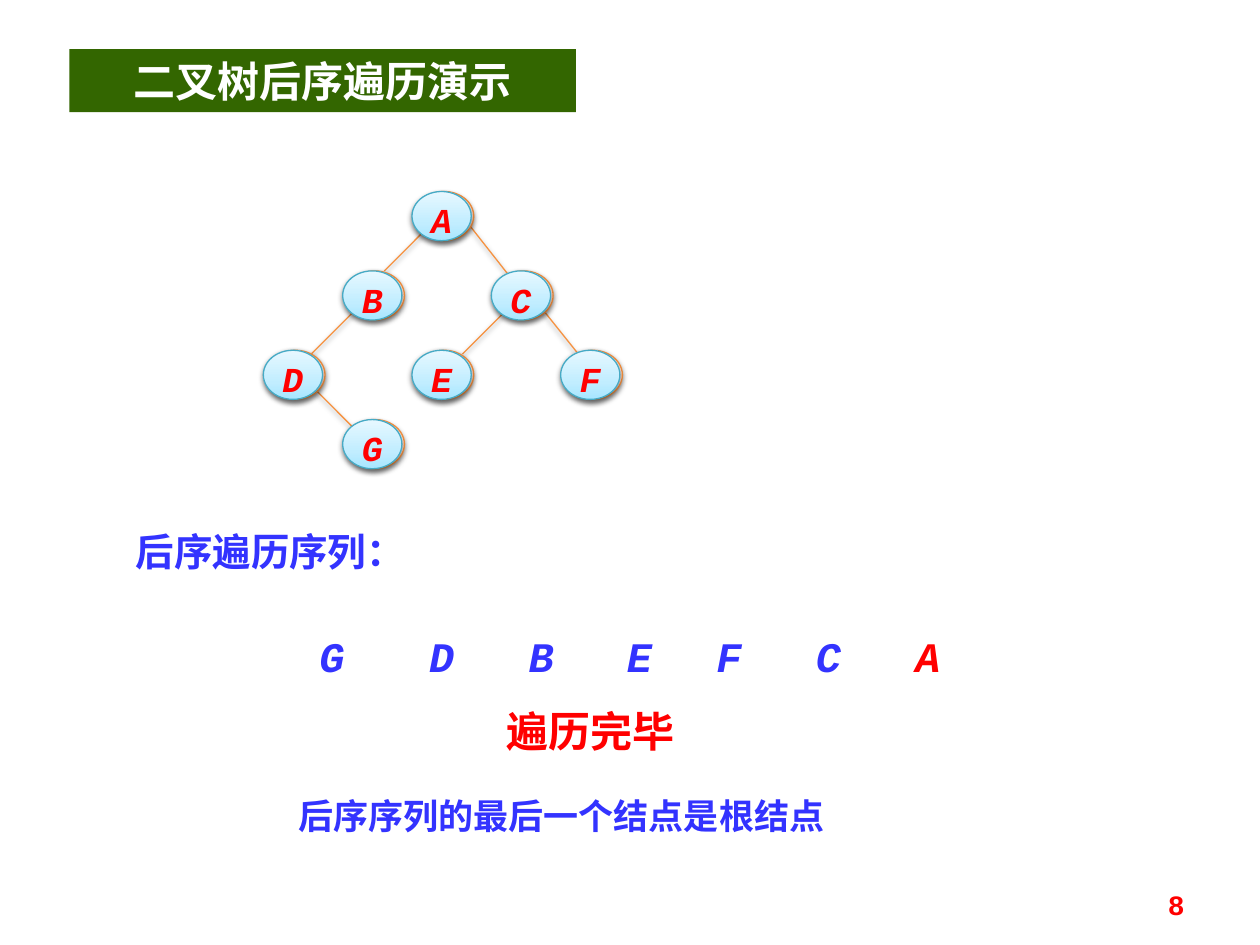
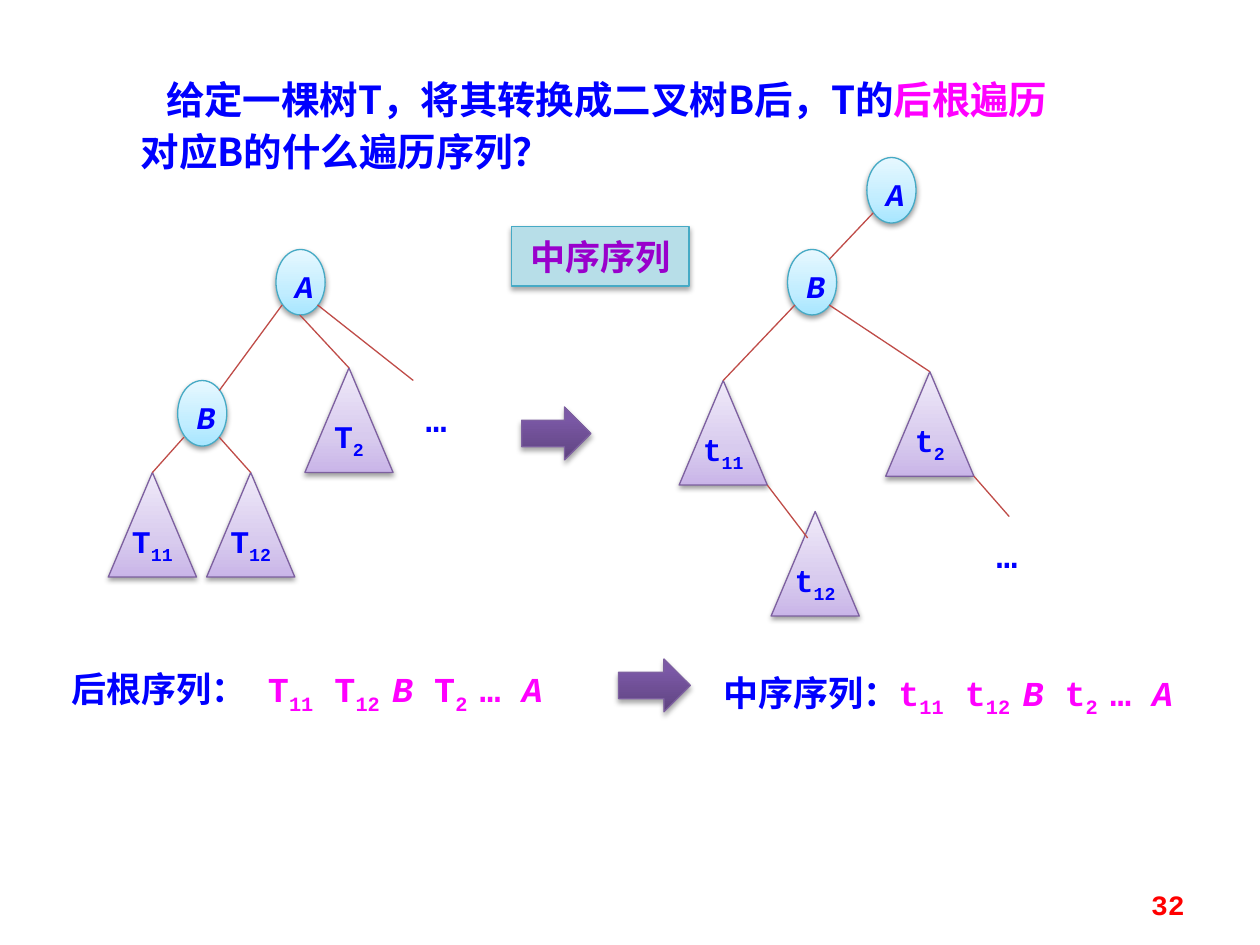
from dataclasses import dataclass, replace
from typing import Optional

from lxml.etree import SubElement
from pptx import Presentation
from pptx.dml.color import RGBColor
from pptx.enum.shapes import MSO_CONNECTOR as Connector, MSO_SHAPE as Preset
from pptx.enum.text import MSO_ANCHOR as Anchor, PP_ALIGN as Align
from pptx.oxml.ns import qn
from pptx.util import Inches, Pt

COLORS = {
    "white": "FFFFFF", "green": "336600", "red": "FF0000", "indigo": "3333FF",
    "blue": "0000FF", "magenta": "FF00FF", "violet": "9900CC", "black": "000000",
    "orange": "F69240", "teal": "46AAC5", "purple": "7D60A0", "brick": "BF4C48",
    "pale teal": "B7DEE8",
}
MONO, SANS = "Courier New", "Noto Sans CJK SC"
Box = tuple[float, float, float, float]
Segment = tuple[float, float, float, float]


@dataclass(frozen=True)
class Style:
    """Fill stops run from bottom to top."""
    stops: tuple[tuple[int, str], ...]
    line: str
    shadow: tuple[int, float] = (38, 1.6)


@dataclass(frozen=True)
class Run:
    text: str
    color: Optional[str] = None
    font: Optional[str] = None
    italic: Optional[bool] = None
    subscript: bool = False


@dataclass(frozen=True)
class Item:
    label: str
    left: float
    top: float
    index: str = ""


ORANGE = Style(((0, "FFD2BD"), (35, "FFDED0"), (100, "FFF2ED")), "orange")
TEAL = Style(((0, "A7E6FF"), (35, "C1EDFF"), (100, "E7F8FF")), "teal")
LILAC = Style(((0, "C9B5E8"), (35, "D8CBEE"), (100, "F0EAF9")), "purple")
PURPLE = Style(((0, "5F4480"), (80, "7B58A6"), (100, "7C57A8")), "purple", (35, 1.8))


def rgb(name: str) -> RGBColor:
    return RGBColor.from_string(COLORS[name])


def set_shadow(shape, alpha: int = 0, distance: float = 0) -> None:
    """Give a downward shadow, or none when alpha is 0."""
    properties = shape._element.spPr
    for old in properties.findall(qn("a:effectLst")):
        properties.remove(old)
    effects = SubElement(properties, qn("a:effectLst"))
    if alpha:
        outer = SubElement(effects, qn("a:outerShdw"), blurRad=str(Pt(3.1)),
                           dist=str(Pt(distance)), dir="5400000", rotWithShape="0")
        color = SubElement(outer, qn("a:srgbClr"), val=COLORS["black"])
        SubElement(color, qn("a:alpha"), val=str(alpha * 1000))


def set_gradient(shape, stops: tuple[tuple[int, str], ...]) -> None:
    shape.fill.gradient()
    shape.fill.gradient_angle = 90
    stop_list = shape._element.spPr.find(qn("a:gradFill")).find(qn("a:gsLst"))
    for old in list(stop_list):
        stop_list.remove(old)
    for position, color in stops:
        stop = SubElement(stop_list, qn("a:gs"), pos=str(position * 1000))
        SubElement(stop, qn("a:srgbClr"), val=color)


def write_text(shape, runs: str | list[Run], *, size: float, color: str,
               font: str = MONO, italic: bool = False, align=Align.CENTER,
               anchor=Anchor.MIDDLE, wrap: bool = False, line: Optional[float] = None,
               indent: float = 0,
               insets: tuple[float, float, float, float] = (0, 0, 0, 0)) -> None:
    """Write one bold paragraph; insets are left, top, right, bottom."""
    frame = shape.text_frame
    frame.word_wrap = wrap
    frame.vertical_anchor = anchor
    (frame.margin_left, frame.margin_top,
     frame.margin_right, frame.margin_bottom) = map(Inches, insets)
    paragraph = frame.paragraphs[0]
    paragraph.alignment = align
    if line:
        paragraph.line_spacing = Pt(line)
    if indent:
        paragraph._p.get_or_add_pPr().set("indent", str(Inches(indent)))
    for part in [Run(runs)] if isinstance(runs, str) else runs:
        run = paragraph.add_run()
        run.text = part.text
        run.font.size, run.font.bold = Pt(size), True
        run.font.italic = italic if part.italic is None else part.italic
        run.font.color.rgb = rgb(part.color or color)
        run.font.name = part.font or font
        properties = run._r.get_or_add_rPr()
        SubElement(properties, qn("a:ea"), typeface=part.font or font)
        if part.subscript:
            properties.set("baseline", "-25000")


def add_text(slide, box: Box, runs: str | list[Run], **text_format) -> None:
    write_text(slide.shapes.add_textbox(*map(Inches, box)), runs, **text_format)


def add_styled_shape(slide, preset, box: Box, style: Style):
    shape = slide.shapes.add_shape(preset, *map(Inches, box))
    set_gradient(shape, style.stops)
    shape.line.color.rgb = rgb(style.line)
    shape.line.width = Pt(0.75)
    set_shadow(shape, *style.shadow)
    return shape


def add_plain_box(slide, box: Box, fill: str, line: Optional[str] = None):
    shape = slide.shapes.add_shape(Preset.RECTANGLE, *map(Inches, box))
    shape.fill.solid()
    shape.fill.fore_color.rgb = rgb(fill)
    if line:
        shape.line.color.rgb = rgb(line)
        shape.line.width = Pt(0.75)
        set_shadow(shape, 35, 1.8)
    else:
        shape.line.fill.background()
        shape.shadow.inherit = False
    return shape


def add_edges(slide, edges: list[Segment], color: str, shadow=(0, 0)) -> None:
    for edge in edges:
        connector = slide.shapes.add_connector(Connector.STRAIGHT, *map(Inches, edge))
        connector.line.color.rgb = rgb(color)
        connector.line.width = Pt(0.75)
        set_shadow(connector, *shadow)


def add_node(slide, node: Item, size: tuple[float, float], style: Style,
             color: str, points: float, left_inset: float = 0) -> None:
    shape = add_styled_shape(slide, Preset.OVAL, (node.left, node.top, *size), style)
    write_text(shape, node.label, size=points, color=color, italic=True,
               insets=(left_inset, 0.06, 0, 0))


def add_subtree(slide, subtree: Item) -> None:
    shape = add_styled_shape(slide, Preset.ISOSCELES_TRIANGLE,
                             (subtree.left, subtree.top, 0.7, 0.83), LILAC)
    write_text(shape, [Run(subtree.label), Run(subtree.index, subscript=True)],
               size=18, color="blue", line=16)


def add_page_number(slide, number: int) -> None:
    add_text(slide, (7.17, 6.95, 2.33, 0.4), str(number), size=16, color="red",
             align=Align.RIGHT, wrap=True, insets=(0.1, 0.06, 0.1, 0))


def sequence_runs(heading: str, letter: str, gap: str) -> list[Run]:
    """Spell a traversal: heading, x11 x12 B x2 … A."""
    return [
        Run(heading, "blue", SANS),
        Run(gap + letter), Run("11", subscript=True),
        Run(f" {letter}"), Run("12 ", subscript=True),
        Run("B", italic=True),
        Run(f" {letter}"), Run("2 ", subscript=True),
        Run("… "), Run("A", italic=True),
    ]


def build_postorder_slide(slide) -> None:
    edges = [
        (2.5, 3.09, 2.82, 3.41), (3.37, 1.83, 3.05, 2.15), (3.72, 1.78, 4.05, 2.2),
        (2.82, 2.46, 2.42, 2.86), (3.99, 2.49, 3.67, 2.81), (4.31, 2.46, 4.63, 2.86),
    ]
    nodes = [
        Item("A", 3.27, 1.52), Item("B", 2.72, 2.15), Item("C", 3.9, 2.15),
        Item("D", 2.09, 2.78), Item("E", 3.27, 2.78), Item("G", 2.72, 3.33),
        Item("F", 4.45, 2.78),
    ]
    visited = {"G": 2.24, "D": 3.11, "B": 3.9, "E": 4.68, "F": 5.39, "C": 6.18, "A": 6.97}

    add_edges(slide, edges, "orange", ORANGE.shadow)
    for node in nodes:
        add_node(slide, replace(node, left=node.left + 0.02), (0.47, 0.39),
                 ORANGE, "indigo", 20)
    for node in nodes:
        add_node(slide, node, (0.47, 0.39), TEAL, "red", 20)
    for letter, left in visited.items():
        add_text(slide, (left, 4.9, 0.79, 0.5), letter, size=24, italic=True, wrap=True,
                 color="red" if letter == "A" else "indigo", insets=(0.1, 0.1, 0.1, 0))

    title = add_plain_box(slide, (0.55, 0.39, 4.02, 0.5), "green")
    write_text(title, "二叉树后序遍历演示", size=24, color="white", font=SANS)
    side_insets = (0.1, 0, 0.1, 0)
    add_text(slide, (0.98, 4.14, 2.84, 0.47), "后序遍历序列：", size=22, color="indigo",
             font=SANS, align=Align.LEFT, wrap=True, insets=side_insets)
    add_text(slide, (3.35, 5.55, 2.68, 0.5), "遍历完毕", size=24, color="red",
             font=SANS, wrap=True)
    add_text(slide, (2.27, 6.25, 5.47, 0.44), "后序序列的最后一个结点是根结点", size=20,
             color="indigo", font=SANS, align=Align.LEFT, wrap=True, insets=side_insets)
    add_page_number(slide, 8)


def build_conversion_slide(slide) -> None:
    nodes = [Item("A", 6.88, 1.25), Item("B", 6.25, 1.98),
             Item("A", 2.19, 1.98), Item("B", 1.41, 3.02)]
    subtrees = [
        Item("T", 0.86, 3.75, "11"), Item("T", 1.64, 3.75, "12"), Item("T", 2.42, 2.92, "2"),
        Item("t", 5.39, 3.02, "11"), Item("t", 6.12, 4.06, "12"), Item("t", 7.03, 2.95, "2"),
    ]
    edges = [
        (2.24, 2.42, 1.74, 3.1), (2.38, 2.5, 2.77, 2.92), (2.52, 2.42, 3.28, 3.02),
        (1.46, 3.47, 1.21, 3.75), (1.74, 3.47, 1.99, 3.75),
        (6.93, 1.69, 6.58, 2.06), (6.58, 2.42, 7.38, 2.95), (6.31, 2.42, 5.74, 3.02),
        (6.09, 3.85, 6.41, 4.27), (7.73, 3.78, 8.01, 4.1),
    ]
    sequences = [
        ((0.47, 5.21, 4.36, 0.48), sequence_runs("后根序列：", "T", " ")),
        ((5.64, 5.24, 4.13, 0.48), sequence_runs("中序序列：", "t", "")),
    ]
    body = dict(size=20, align=Align.LEFT, anchor=Anchor.TOP, wrap=True, line=30,
                insets=(0.1, 0.05, 0.1, 0.05))

    question = [Run("给定一棵树T，将其转换成二叉树B后，T的"),
                Run("后根遍历", "magenta"), Run("对应B的什么遍历序列？")]
    add_text(slide, (1.02, 0.46, 7.58, 0.94), question, color="blue", font=SANS, indent=0.2,
             **{**body, "size": 22, "insets": (0.1, 0.09, 0.1, 0)})
    for box, runs in sequences:
        add_text(slide, box, runs, color="magenta", **body)
    for box in ((4.91, 5.23, 0.57, 0.42), (4.14, 3.23, 0.55, 0.42)):
        add_styled_shape(slide, Preset.RIGHT_ARROW, box, PURPLE)
    for node in nodes:
        add_node(slide, node, (0.39, 0.52), TEAL, "blue", 18, left_inset=0.06)
    for subtree in subtrees:
        add_subtree(slide, subtree)
    add_edges(slide, edges, "brick")
    for left, top in ((3.28, 3.02), (7.81, 4.1)):
        add_text(slide, (left, top, 0.55, 0.52), "…", color="blue", **body)

    answer = add_plain_box(slide, (4.06, 1.8, 1.41, 0.47), "pale teal", "teal")
    write_text(answer, "中序序列", size=20, color="violet", font=SANS)
    add_page_number(slide, 32)


def main() -> None:
    presentation = Presentation()
    presentation.slide_width, presentation.slide_height = Inches(10), Inches(7.5)
    blank = presentation.slide_layouts[6]
    for build in (build_postorder_slide, build_conversion_slide):
        build(presentation.slides.add_slide(blank))
    presentation.save("out.pptx")


if __name__ == "__main__":
    main()
